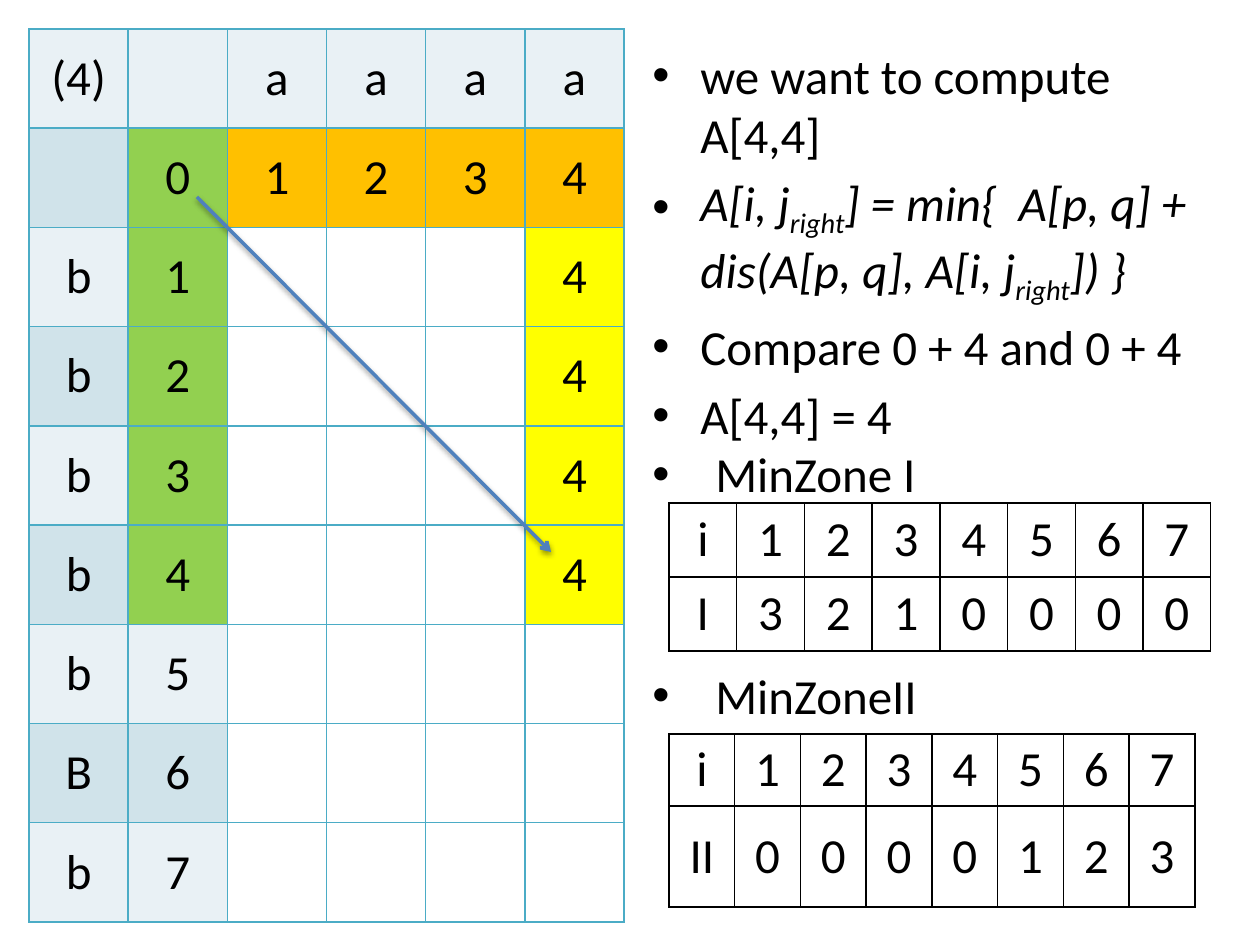
from lxml import etree
from pptx import Presentation, util as u
from pptx.dml.color import RGBColor
from pptx.enum import shapes, text
from pptx.oxml import ns

PX = 914400 / 126
BLACK = RGBColor(0x00, 0x00, 0x00)
TEAL = RGBColor(0x4B, 0xAC, 0xC6)
BLUE = RGBColor(0x4F, 0x81, 0xBD)
PALE = RGBColor(0xE9, 0xF1, 0xF5)
BAND = RGBColor(0xD0, 0xE3, 0xEA)
GREEN = RGBColor(0x92, 0xD0, 0x50)
AMBER = RGBColor(0xFF, 0xC0, 0x00)
YELLOW = RGBColor(0xFF, 0xFF, 0x00)


def write(para, words, italic=False, sub=False):
    run = para.add_run()
    run.text = words
    font = run.font
    font.name, font.size, font.italic = "Calibri", u.Pt(28), italic
    font.color.rgb = BLACK
    if sub:
        run._r.get_or_add_rPr().set("baseline", "-25000")


def grid(rows, box, edge, tint=lambda r, c: None):
    area = [round(n * PX) for n in box]
    table = slide.shapes.add_table(len(rows), len(rows[0]), *area).table
    table.first_row = table.horz_banding = False
    for r, row in enumerate(rows):
        for c, words in enumerate(row):
            cell = table.cell(r, c)
            cell.vertical_anchor = text.MSO_ANCHOR.MIDDLE
            para = cell.text_frame.paragraphs[0]
            para.alignment = text.PP_ALIGN.CENTER
            if words.strip():
                write(para, words)
            shade = tint(r, c)
            if shade is None:
                cell.fill.background()
            else:
                cell.fill.solid()
                cell.fill.fore_color.rgb = shade
            # Cell borders come before the fill
            props = cell._tc.get_or_add_tcPr()
            for k, side in enumerate(("lnL", "lnR", "lnT", "lnB")):
                line = etree.Element(ns.qn("a:" + side), w="12700")
                paint = etree.SubElement(line, ns.qn("a:solidFill"))
                etree.SubElement(paint, ns.qn("a:srgbClr"), val=str(edge))
                props.insert(k, line)
    return table


deck = Presentation()
deck.slide_width, deck.slide_height = round(1260 * PX), round(945 * PX)
slide = deck.slides.add_slide(deck.slide_layouts[6])


# Distance matrix
def tint(r, c):
    if c == 1 and 1 <= r <= 5:
        return GREEN
    if r == 1 and c > 1:
        return AMBER
    if c == 5 and 2 <= r <= 5:
        return YELLOW
    if r == 0 or c < 2:
        return BAND if r % 2 else PALE
    return None


rows = [["(4)", "", *"aaaa"], ["", *"01234"]]
for r, name in enumerate("bbbbbBb", 1):
    rows.append([name, str(r), "", "", "", "4" if r <= 4 else ""])
grid(rows, (29, 29, 595, 893), TEAL, tint)

# Diagonal arrow
ends = [round(n * PX) for n in (197, 197, 551, 552)]
arrow = slide.shapes.add_connector(shapes.MSO_CONNECTOR.STRAIGHT, *ends)
arrow.line.color.rgb, arrow.line.width = BLUE, u.Pt(2)
etree.SubElement(arrow.line._get_or_add_ln(), ns.qn("a:tailEnd"), type="arrow")
glow = etree.SubElement(arrow._element.spPr, ns.qn("a:effectLst"))
shade = etree.SubElement(glow, ns.qn("a:outerShdw"), blurRad="39370",
                         dist="20320", dir="5400000", rotWithShape="0")
tone = etree.SubElement(shade, ns.qn("a:srgbClr"), val=str(BLACK))
etree.SubElement(tone, ns.qn("a:alpha"), val="38000")

# Bullets: space before in points, indent in px, runs
# In a formula, every second run is a subscript
points = [
    (0, 48, False, ["we want to compute A[4,4]"]),
    (5.6, 48, True, ["A[i, j", "right", "] = min{  A[p, q] + dis(A[p, q], A[i, j",
                     "right", "]) }"]),
    (5.6, 48, False, ["Compare 0 + 4 and 0 + 4"]),
    (5.6, 48, False, ["A[4,4] = 4"]),
    (0, 63, False, ["MinZone I"]),
    (93, 63, False, ["MinZoneII"]),
]
area = [round(n * PX) for n in (640, 39, 591, 876)]
frame = slide.shapes.add_textbox(*area).text_frame
frame.word_wrap = True
for k, (gap, dent, italic, parts) in enumerate(points):
    para = frame.add_paragraph() if k else frame.paragraphs[0]
    props = para._p.get_or_add_pPr()
    props.set("marL", str(round(dent * PX)))
    props.set("indent", str(-round(dent * PX)))
    etree.SubElement(props, ns.qn("a:buFont"), typeface="Arial")
    etree.SubElement(props, ns.qn("a:buChar"), char="•")
    para.space_before = u.Pt(gap)
    for n, part in enumerate(parts):
        write(para, part, italic=italic, sub=n % 2 == 1)

# MinZone tables
second = grid(["i1234567", ["II", *"0000123"]], (669, 734, 526, 173), BLACK)
for row, high in zip(second.rows, (72, 101)):
    row.height = round(high * PX)
grid(["i1234567", "I3210000"], (669, 503, 542, 148), BLACK)

deck.save("out.pptx")
